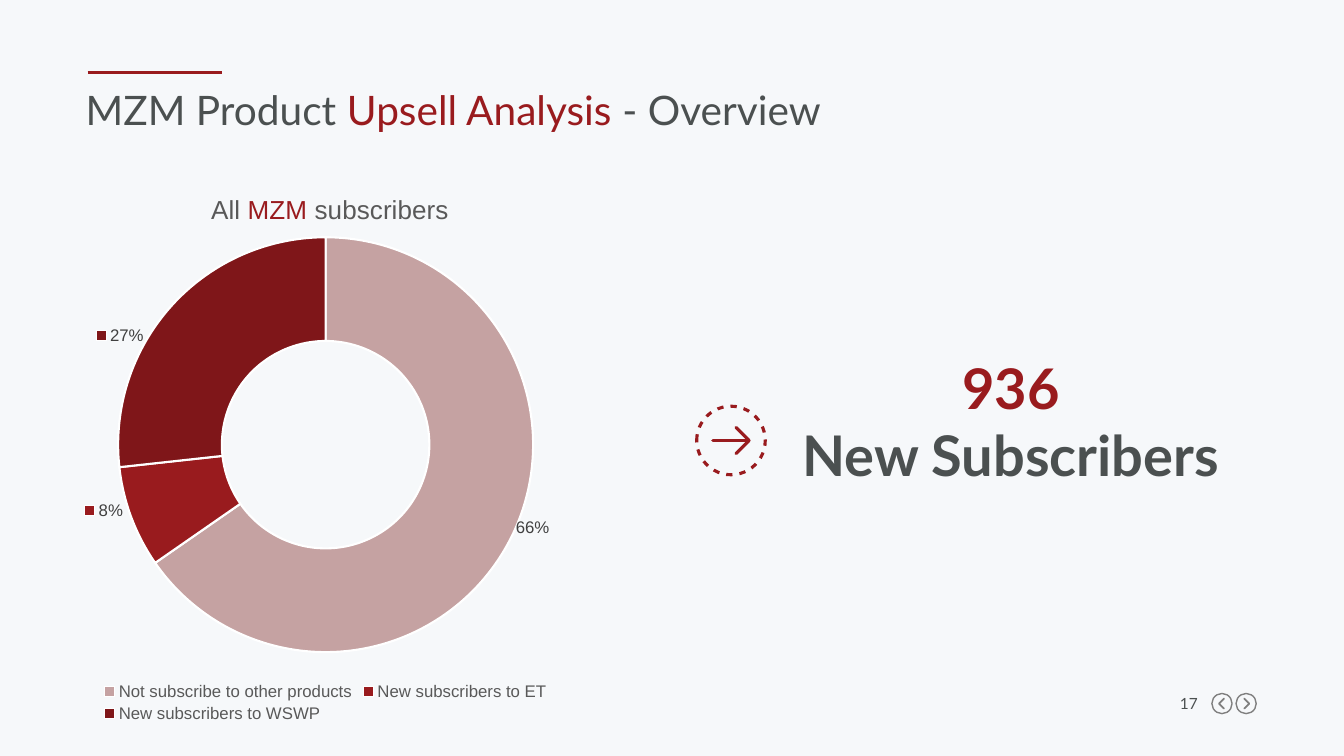
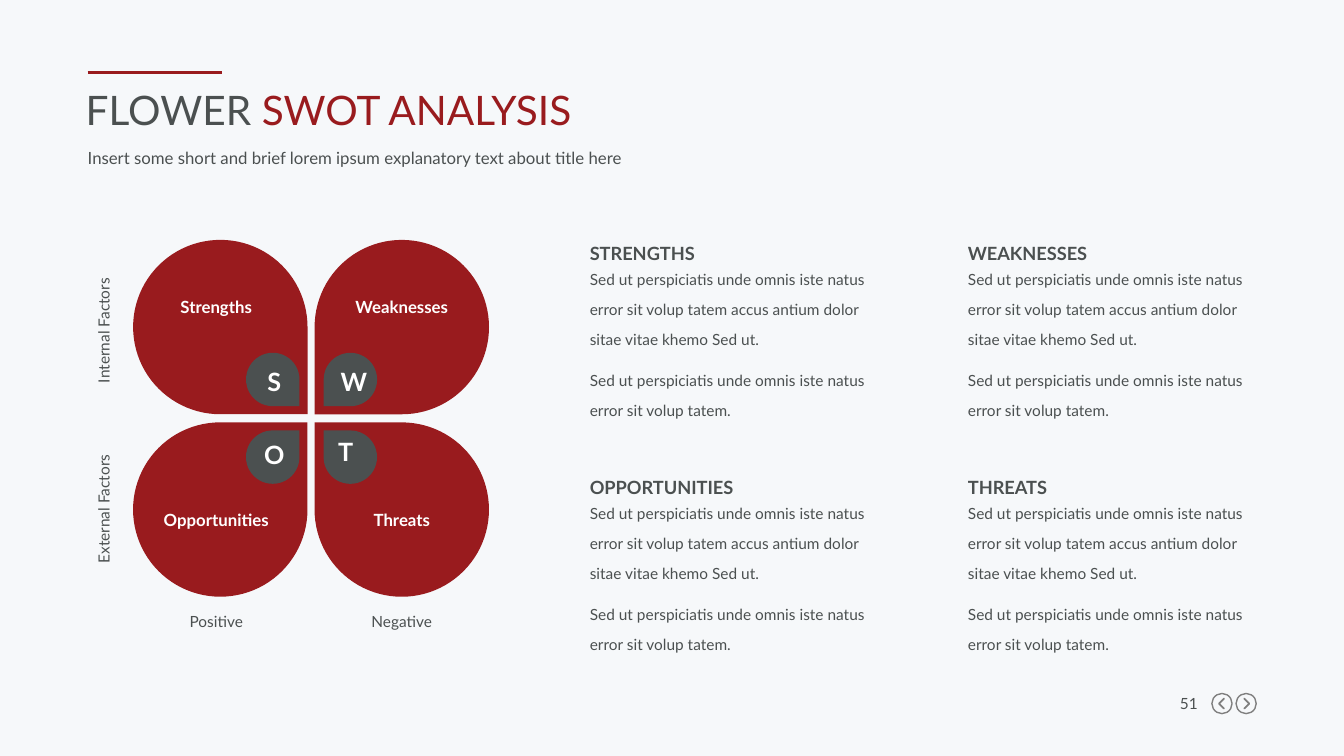
from dataclasses import dataclass

import pptx
import pptx.chart.data
import pptx.dml.color
import pptx.enum.chart
import pptx.enum.shapes
import pptx.enum.text
import pptx.oxml.ns
import pptx.oxml.xmlchemy
import pptx.util
from pptx.util import Inches

RED, GRAY, MUTED, WHITE = "991B1E", "4B5050", "7F7F7F", "FFFFFF"
BACKGROUND, CHART_TEXT, LABEL_TEXT = "F6F8FA", "595959", "404040"
FONT, CHART_FONT = "Lato", "Arial"
LEFT = pptx.enum.text.PP_ALIGN.LEFT
CENTER = pptx.enum.text.PP_ALIGN.CENTER
RIGHT = pptx.enum.text.PP_ALIGN.RIGHT
SHAPE = pptx.enum.shapes.MSO_SHAPE
qn = pptx.oxml.ns.qn
new_element = pptx.oxml.xmlchemy.OxmlElement


@dataclass
class Style:
    size: float
    color: str = GRAY
    bold: bool = False
    align: int = LEFT
    spacing: float = 1.0
    before: float = 0


@dataclass
class Slice:
    label: str
    percent: int
    color: str
    shift: tuple[float, float]
    legend_key: bool


@dataclass
class Petal:
    """One quadrant: its grid cell, the turn of its drop, and its letter box."""
    name: str
    column: int
    row: int
    turn: int
    letter_at: tuple[float, float]


TITLE = Style(29)
SUBTITLE = Style(12, spacing=1.33)
PAGE_NUMBER = Style(11, align=RIGHT)
FIGURE = Style(40, bold=True, align=CENTER)
LETTER = Style(18, WHITE, True, CENTER)
PETAL_NAME = Style(12, WHITE, True, CENTER)
AXIS_NAME = Style(11, align=CENTER)
HEADING = Style(13, bold=True, spacing=1.7)
BODY = Style(11, spacing=1.62, before=8)

SLICES = [
    Slice("Not subscribe to other products", 66, "C5A2A2", (0.1, 0.02), False),
    Slice("New subscribers to ET", 8, RED, (-0.11, 0.02), True),
    Slice("New subscribers to WSWP", 27, "7F1619", (-0.13, -0.01), True),
]
PETALS = [
    Petal("Strengths", 0, 0, 90, (2.62, 3.63)),
    Petal("Weaknesses", 1, 0, 180, (3.38, 3.63)),
    Petal("Opportunities", 0, 1, 0, (2.62, 4.36)),
    Petal("Threats", 1, 1, 270, (3.33, 4.33)),
]
EXPLANATION = [
    "Sed ut perspiciatis unde omnis iste natus error sit volup tatem accus "
    "antium dolor sitae vitae khemo Sed ut.",
    "Sed ut perspiciatis unde omnis iste natus error sit volup tatem.",
]


def rgb(color: str):
    return pptx.dml.color.RGBColor.from_string(color)


def set_font(font, size: float, color: str, name: str = FONT, bold: bool = False):
    font.name, font.size, font.bold = name, pptx.util.Pt(size), bold
    font.color.rgb = rgb(color)


def add_text(slide, left, top, width, height, paragraphs, style: Style, rotation=0):
    """Each paragraph is a string, or a list of (text, colour) runs."""
    box = slide.shapes.add_textbox(Inches(left), Inches(top), Inches(width), Inches(height))
    box.rotation = rotation
    frame = box.text_frame
    frame.word_wrap = True
    frame.margin_left = frame.margin_right = frame.margin_top = frame.margin_bottom = 0
    for index, content in enumerate(paragraphs):
        paragraph = frame.add_paragraph() if index else frame.paragraphs[0]
        paragraph.alignment = style.align
        paragraph.line_spacing = style.spacing
        if index:
            paragraph.space_before = pptx.util.Pt(style.before)
        set_font(paragraph.font, style.size, style.color, bold=style.bold)
        runs = [(content, style.color)] if isinstance(content, str) else content
        for text, color in runs:
            run = paragraph.add_run()
            run.text = text
            if color != style.color:
                run.font.color.rgb = rgb(color)


def set_line(shape, color: str, weight: float):
    shape.line.color.rgb = rgb(color)
    shape.line.width = pptx.util.Pt(weight)
    return shape._element.spPr.find(qn("a:ln"))


def add_line(slide, x1, y1, x2, y2, weight: float):
    line = slide.shapes.add_connector(
        pptx.enum.shapes.MSO_CONNECTOR.STRAIGHT, Inches(x1), Inches(y1), Inches(x2), Inches(y2))
    outline = set_line(line, RED, weight)
    line._element.spPr.append(new_element("a:effectLst"))
    return outline


def add_ring(slide, x, y, radius, color: str, weight: float):
    ring = slide.shapes.add_shape(
        SHAPE.OVAL, Inches(x - radius), Inches(y - radius), Inches(2 * radius), Inches(2 * radius))
    ring.shadow.inherit = False
    ring.fill.background()
    return set_line(ring, color, weight)


def add_chevron(slide, tip_x, y, depth, rise, color: str, weight: float):
    """An open angle; a positive depth points it right."""
    start_x = Inches(tip_x - depth)
    builder = slide.shapes.build_freeform(start_x, Inches(y - rise))
    builder.add_line_segments(
        [(Inches(tip_x), Inches(y)), (start_x, Inches(y + rise))], close=False)
    chevron = builder.convert_to_shape()
    chevron.shadow.inherit = False
    chevron.fill.background()
    set_line(chevron, color, weight).set("cap", "rnd")


def add_drop(slide, left, top, size, color: str, turn: int):
    drop = slide.shapes.add_shape(
        SHAPE.TEAR, Inches(left), Inches(top), Inches(size), Inches(size))
    drop.rotation = turn
    drop.shadow.inherit = False
    drop.fill.solid()
    drop.fill.fore_color.rgb = rgb(color)
    drop.line.fill.background()


def new_slide(deck, title, page: int):
    slide = deck.slides.add_slide(deck.slide_layouts[6])
    add_line(slide, 0.87, 0.72, 2.2, 0.72, 2.25)
    add_text(slide, 0.85, 0.84, 11.6, 0.56, [title], TITLE)
    add_text(slide, 11.58, 6.89, 0.3, 0.18, [str(page)], PAGE_NUMBER)
    for x, direction in ((12.12, -1), (12.36, 1)):
        add_ring(slide, x, 6.98, 0.1, MUTED, 1)
        add_chevron(slide, x + direction * 0.03, 6.98, direction * 0.05, 0.05, MUTED, 1.25)
    return slide


def manual_layout(**settings):
    layout = new_element("c:layout")
    manual = new_element("c:manualLayout")
    layout.append(manual)
    for tag, value in settings.items():
        setting = new_element(f"c:{tag}")
        setting.set("val", str(value))
        manual.append(setting)
    return layout


def add_subscriber_chart(slide):
    data = pptx.chart.data.CategoryChartData()
    data.categories = [part.label for part in SLICES]
    data.add_series("Series 1", [part.percent for part in SLICES])
    chart = slide.shapes.add_chart(
        pptx.enum.chart.XL_CHART_TYPE.DOUGHNUT,
        Inches(-0.2), Inches(1.67), Inches(6.86), Inches(5.54), data).chart
    set_font(chart.font, 10, "000000", CHART_FONT)

    chart.has_title = True
    heading = chart.chart_title.text_frame.paragraphs[0]
    for text, color in (("All ", CHART_TEXT), ("MZM", RED), (" subscribers", CHART_TEXT)):
        run = heading.add_run()
        run.text = text
        set_font(run.font, 18.6, color, CHART_FONT)
    title = chart.chart_title._element
    for old in title.findall(qn("c:layout")):
        title.remove(old)
    title.find(qn("c:tx")).addnext(manual_layout(xMode="edge", yMode="edge", x=0.33, y=0.04))

    chart.has_legend = True
    chart.legend.position = pptx.enum.chart.XL_LEGEND_POSITION.BOTTOM
    chart.legend.include_in_layout = False
    set_font(chart.legend.font, 12, CHART_TEXT, CHART_FONT)

    plot_area = chart._chartSpace.chart.plotArea
    for old in plot_area.findall(qn("c:layout")):
        plot_area.remove(old)
    plot_area.insert(0, manual_layout(
        layoutTarget="inner", xMode="edge", yMode="edge", x=0.2, y=0.12, w=0.6, h=0.75))
    plot = chart.plots[0]
    plot.vary_by_categories = True
    for hole in plot._element.findall(qn("c:holeSize")):
        hole.set("val", "75")

    series = plot.series[0]
    labels = series.data_labels
    labels.show_value = True
    labels.number_format, labels.number_format_is_linked = '0"%"', False
    set_font(labels.font, 12, LABEL_TEXT, CHART_FONT)
    for leader in labels._element.findall(qn("c:showLeaderLines")):
        leader.set("val", "0")
    for index, part in enumerate(SLICES):
        point = series.points[index]
        point.format.fill.solid()
        point.format.fill.fore_color.rgb = rgb(part.color)
        point.format.line.color.rgb = rgb(WHITE)
        point.format.line.width = pptx.util.Pt(1.5)
        set_font(point.data_label.font, 12, LABEL_TEXT, CHART_FONT)
        label = labels._element.findall(qn("c:dLbl"))[index]
        number_format = new_element("c:numFmt")
        number_format.set("formatCode", '0"%"')
        number_format.set("sourceLinked", "0")
        label.find(qn("c:idx")).addnext(number_format)
        number_format.addprevious(manual_layout(x=part.shift[0], y=part.shift[1]))
        label.find(qn("c:showLegendKey")).set("val", str(int(part.legend_key)))


def add_arrow_badge(slide, x, y):
    outline = add_ring(slide, x, y, 0.34, RED, 2.25)
    dashes = new_element("a:custDash")
    dash = new_element("a:ds")
    dash.set("d", "200000")
    dash.set("sp", "225000")
    dashes.append(dash)
    outline.find(qn("a:solidFill")).addnext(dashes)
    add_line(slide, x - 0.18, y, x + 0.18, y, 2.25).set("cap", "rnd")
    add_chevron(slide, x + 0.18, y, 0.13, 0.13, RED, 2.25)


def build_overview(deck):
    title = [("MZM Product ", GRAY), ("Upsell Analysis ", RED), ("- Overview", GRAY)]
    slide = new_slide(deck, title, 17)
    add_arrow_badge(slide, 7.25, 4.37)
    add_text(slide, 7.6, 3.51, 4.85, 0.67, [[("936", RED)], "New Subscribers"], FIGURE)
    add_subscriber_chart(slide)


def build_swot(deck):
    slide = new_slide(deck, [("FLOWER ", GRAY), ("SWOT ANALYSIS", RED)], 51)
    add_text(slide, 0.87, 1.4, 11.6, 0.21,
             ["Insert some short and brief lorem ipsum explanatory text about title here"],
             SUBTITLE)
    for petal in PETALS:
        column, row = petal.column, petal.row
        name_left = 1.55 + 1.84 * column
        add_drop(slide, 1.32 + 1.8 * column, 2.38 + 1.81 * row, 1.73, RED, petal.turn)
        add_drop(slide, 2.44 + 0.77 * column, 3.5 + 0.77 * row, 0.53, GRAY, petal.turn)
        add_text(slide, *petal.letter_at, 0.2, 0.31, [petal.name[0]], LETTER)
        add_text(slide, name_left, 2.94 + 2.12 * row, 1.19, 0.2, [petal.name], PETAL_NAME)
        text_left, text_top = 5.85 + 3.75 * column, 2.25 + 2.32 * row
        add_text(slide, text_left, text_top, 2.86, 0.28, [petal.name.upper()], HEADING)
        add_text(slide, text_left, text_top + 0.32, 2.85, 1.33, EXPLANATION, BODY)
    for column, name in enumerate(("Positive", "Negative")):
        add_text(slide, 1.55 + 1.84 * column, 6.07, 1.19, 0.18, [name], AXIS_NAME)
    for row, name in enumerate(("Internal Factors", "External Factors")):
        add_text(slide, 0.43, 3.19 + 1.77 * row, 1.19, 0.18, [name], AXIS_NAME, 270)


def main():
    deck = pptx.Presentation()
    deck.slide_width, deck.slide_height = Inches(13.33), Inches(7.5)
    backdrop = deck.slide_master.background.fill
    backdrop.solid()
    backdrop.fore_color.rgb = rgb(BACKGROUND)
    build_overview(deck)
    build_swot(deck)
    deck.save("out.pptx")


if __name__ == "__main__":
    main()
